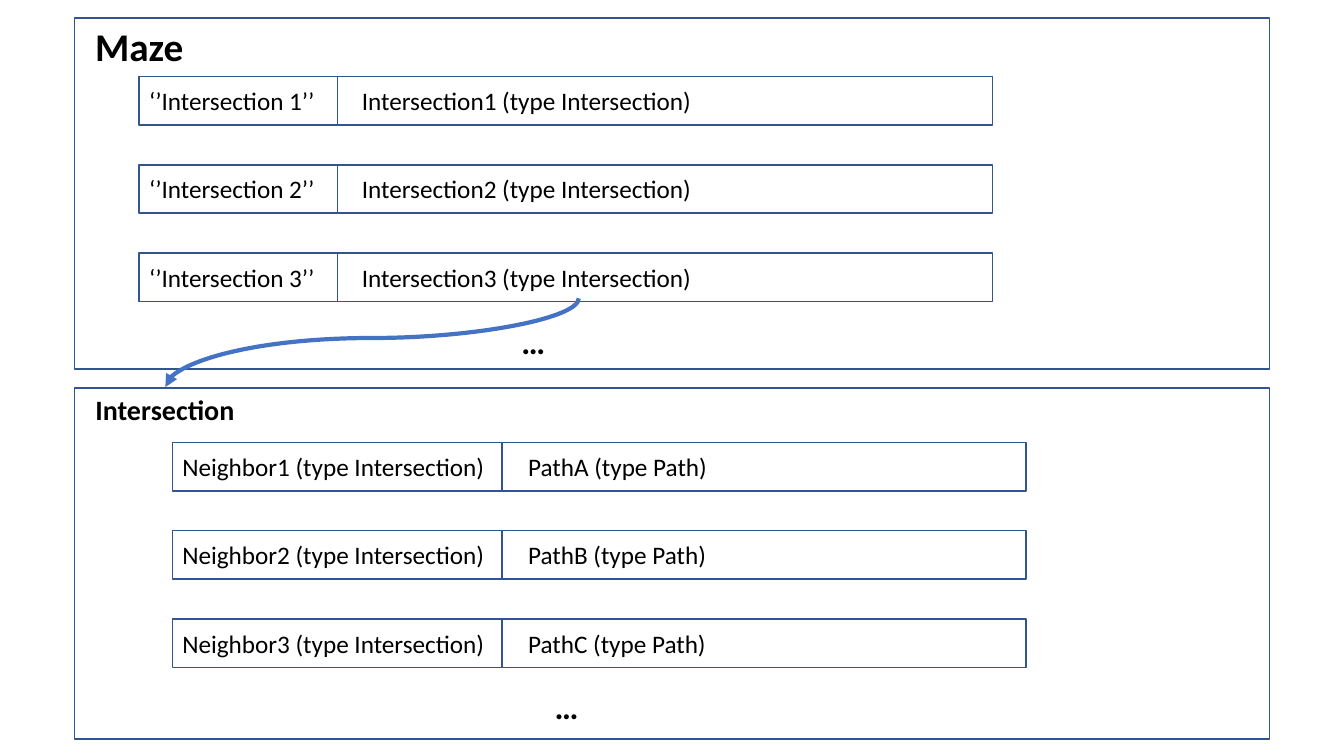
from lxml import etree
from pptx import Presentation
from pptx.dml.color import RGBColor
from pptx.enum.shapes import MSO_CONNECTOR, MSO_SHAPE
from pptx.enum.text import MSO_ANCHOR, MSO_AUTO_SIZE, PP_ALIGN
from pptx.oxml.ns import qn
from pptx.util import Inches, Pt

RECTANGLE = MSO_SHAPE.RECTANGLE
CURVE = MSO_CONNECTOR.CURVE
TOP = MSO_ANCHOR.TOP
NO_FIT = MSO_AUTO_SIZE.NONE
LEFT, CENTER = PP_ALIGN.LEFT, PP_ALIGN.CENTER

TITLE_ONLY = 5
UNIT = 0.1
ENTRY_PITCH = 8.75
ENTRY_HEIGHT = 4.8

MAZE_ENTRIES = [
    (f"‘’Intersection {number}’’", f"Intersection{number} (type Intersection)")
    for number in (1, 2, 3)
]
INTERSECTION_ENTRIES = [
    (f"Neighbor{number} (type Intersection)", f"Path{letter} (type Path)")
    for number, letter in enumerate("ABC", 1)
]


def color(value):
    return RGBColor.from_string(value)


def grid(*cells):
    return [Inches(cell * UNIT) for cell in cells]


class Diagram:
    font = "Calibri"
    ink = "000000"
    outline = "325491"
    accent = "4472C4"

    def __init__(self, deck):
        self.page = deck.slides.add_slide(deck.slide_layouts[TITLE_ONLY])

    def rectangle(self, *place):
        box = self.page.shapes.add_shape(RECTANGLE, *grid(*place))
        box.shadow.inherit = False
        box.fill.background()
        box.line.color.rgb = color(self.outline)
        box.line.width = Pt(1)

    def fill_text(self, box, text, size, bold, align):
        frame = box.text_frame
        settings = {"word_wrap": True, "auto_size": NO_FIT, "vertical_anchor": TOP}
        for name, value in settings.items():
            setattr(frame, name, value)
        para = frame.paragraphs[0]
        para.alignment = align
        para.line_spacing = 1.0
        span = para.add_run()
        span.text = text
        span.font.color.rgb = color(self.ink)
        for name, value in {"name": self.font, "size": Pt(size), "bold": bold}.items():
            setattr(span.font, name, value)

    def title(self, text, place, size):
        box = self.page.shapes.title
        for name, value in zip(("left", "top", "width", "height"), grid(*place)):
            setattr(box, name, value)
        self.fill_text(box, text, size, True, CENTER)

    def label(self, text, place, size=18, bold=False, align=LEFT):
        box = self.page.shapes.add_textbox(*grid(*place))
        self.fill_text(box, text, size, bold, align)

    def panel(self, row):
        self.rectangle(7.4, row, 118.5, 34.8)

    def entries(self, pairs, column, row, key_width, value_indent):
        width = 84.65
        split = column + key_width
        for index, (key, value) in enumerate(pairs):
            top = row + index * ENTRY_PITCH
            self.rectangle(column, top, key_width, ENTRY_HEIGHT)
            self.rectangle(split, top, width - key_width, ENTRY_HEIGHT)
            self.label(key, (column, top + 0.4, key_width + 1, 4))
            self.label(value, (split + value_indent, top + 0.4, 49, 4))
        dots = (column + 36, row + 23.7, 6.2, 5)
        self.label("…", dots, size=24, bold=True, align=CENTER)

    def curved_arrow(self, column, row, width, height, bend):
        arrow = self.page.shapes.add_connector(
            CURVE, *grid(column, row, column + width, row + height)
        )
        arrow.line.color.rgb = color(self.accent)
        arrow.line.width = Pt(3)
        properties = arrow.element.spPr
        properties.find(qn("a:xfrm")).set("rot", str(90 * 60000))
        adjustments = properties.find(qn("a:prstGeom")).find(qn("a:avLst"))
        etree.SubElement(adjustments, qn("a:gd"), name="adj1", fmla=f"val {bend}")
        etree.SubElement(properties.find(qn("a:ln")), qn("a:tailEnd"), type="triangle")
        etree.SubElement(properties, qn("a:effectLst"))


def main():
    deck = Presentation()
    deck.slide_width, deck.slide_height = Inches(13.33), Inches(7.5)
    diagram = Diagram(deck)

    diagram.panel(1.8)
    diagram.title("Maze", (7.4, 1.7, 12.8, 3.1), 28)
    diagram.entries(MAZE_ENTRIES, 13.8, 7.6, key_width=19.7, value_indent=1.4)

    diagram.panel(38.5)
    diagram.label("Intersection", (7.4, 38.4, 17.9, 8), size=20, bold=True, align=CENTER)
    diagram.entries(INTERSECTION_ENTRIES, 17.1, 43.9, key_width=32.7, value_indent=1.6)

    diagram.curved_arrow(32.5, 13.5, 8.8, 41, bend=44700)
    deck.save("out.pptx")


if __name__ == "__main__":
    main()
